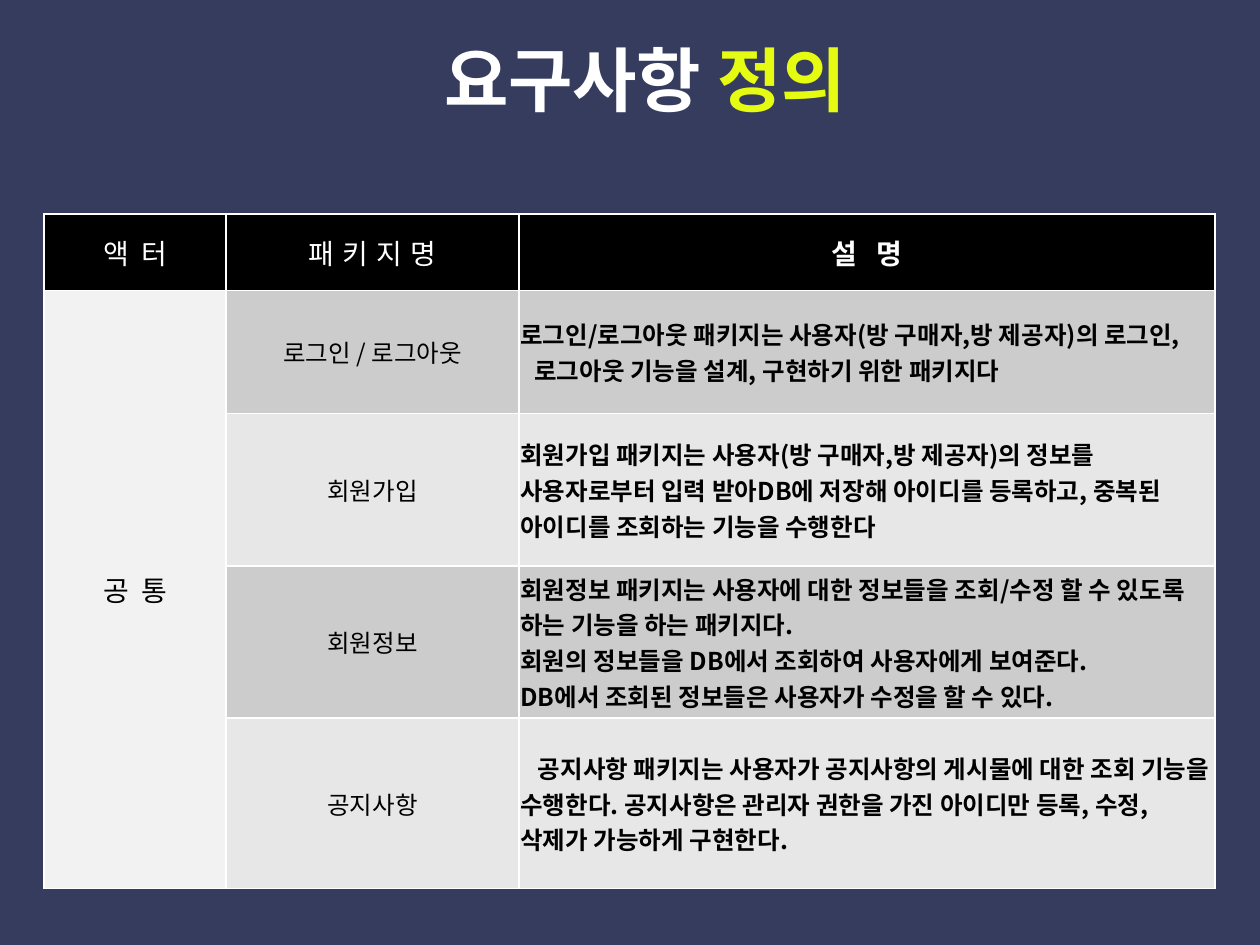
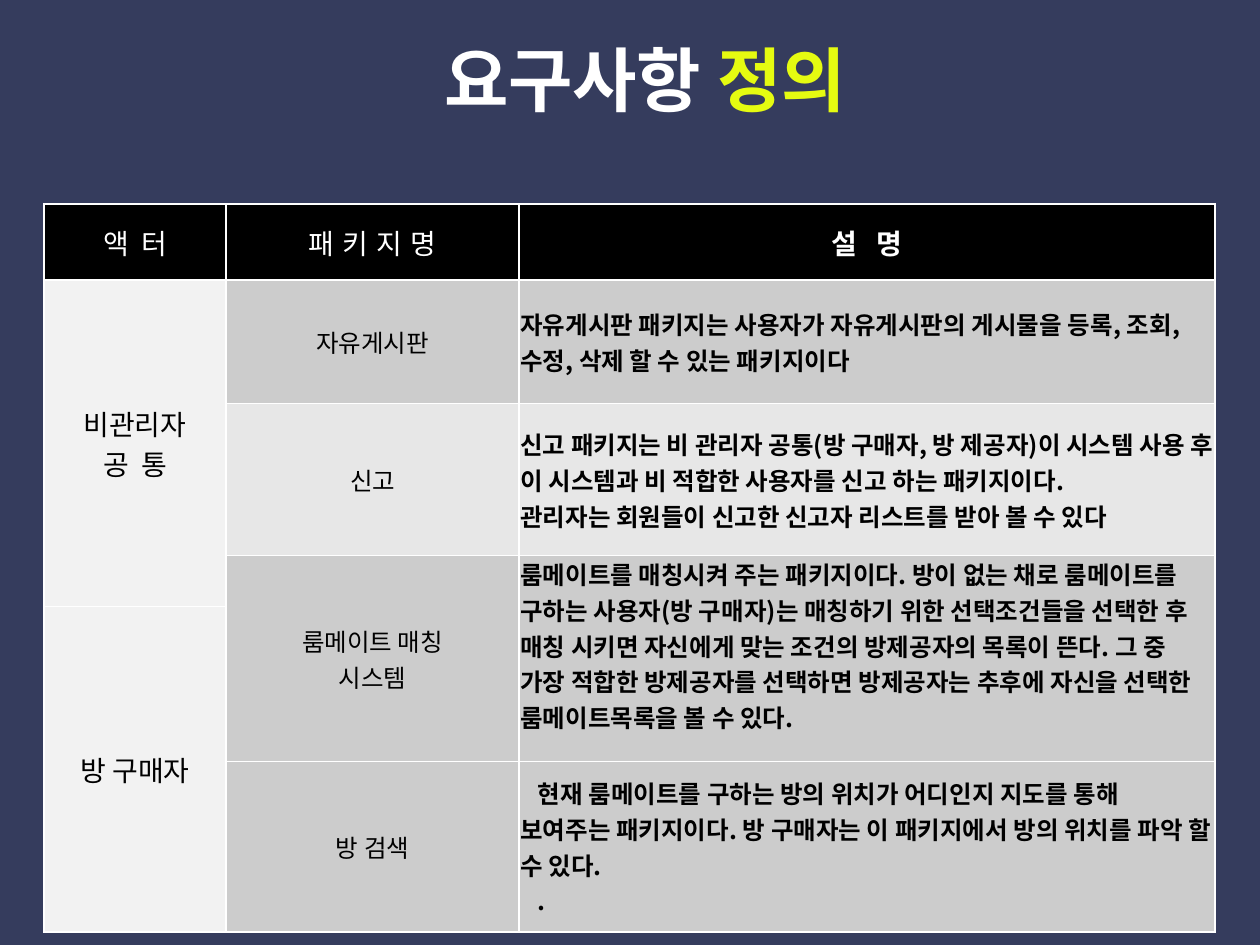
from lxml.etree import SubElement
from pptx import Presentation
from pptx.dml.color import RGBColor
from pptx.enum.text import MSO_ANCHOR, MSO_AUTO_SIZE, PP_ALIGN
from pptx.oxml.ns import qn
from pptx.util import Pt

NAVY = RGBColor(0x35, 0x3C, 0x5D)
WHITE = RGBColor(0xFF, 0xFF, 0xFF)
LIME = RGBColor(0xE5, 0xFB, 0x11)
BLACK = RGBColor(0, 0, 0)
PALE = RGBColor(0xF2, 0xF2, 0xF2)
GRAY = RGBColor(0xCC, 0xCC, 0xCC)
LIGHT = RGBColor(0xE7, 0xE7, 0xE7)
NOTO = "Noto Sans CJK KR"

WIDTHS = [104, 167.5, 397.5]
HEADS = ["액 터", "패 키 지 명", "설 명"]
# Letter spacing of the spread-out labels, in hundredths of a point
SPREAD = {"액 터": 180, "패 키 지 명": 60, "설 명": 360, "공 통": 180}

# Actors: first row, last row, lines
# Packages: first row, last row, fill, name lines, (indent, text) pairs
SHEETS = [
    {
        "title": "Arial", "head": "Lato", "top": 122.4,
        "rows": [43.5, 70.5, 87, 87, 97.5],
        "actors": [(1, 4, ["공 통"])],
        "packs": [
            (1, 1, GRAY, ["로그인 / 로그아웃"], [
                (0, "로그인/로그아웃 패키지는 사용자(방 구매자,방 제공자)의 로그인,"),
                (8, "로그아웃 기능을 설계, 구현하기 위한 패키지다")]),
            (2, 2, LIGHT, ["회원가입"], [
                (0, "회원가입 패키지는 사용자(방 구매자,방 제공자)의 정보를 "
                    "사용자로부터 입력 받아DB에 저장해 아이디를 등록하고, "
                    "중복된 아이디를 조회하는 기능을 수행한다")]),
            (3, 3, GRAY, ["회원정보"], [
                (0, "회원정보 패키지는 사용자에 대한 정보들을 조회/수정 할 수 있도록"),
                (0, "하는 기능을 하는 패키지다."),
                (0, "회원의 정보들을 DB에서 조회하여 사용자에게 보여준다."),
                (0, "DB에서 조회된 정보들은 사용자가 수정을 할 수 있다.")]),
            (4, 4, LIGHT, ["공지사항"], [
                (10, "공지사항 패키지는 사용자가 공지사항의 게시물에 대한 조회 "
                     "기능을 수행한다. 공지사항은 관리자 권한을 가진 아이디만 등록, "
                     "수정, 삭제가 가능하게 구현한다.")]),
        ],
    },
    {
        "title": NOTO, "head": NOTO, "top": 116.6,
        "rows": [43.5, 70.5, 87, 29, 88.5, 97.5],
        "actors": [(1, 3, ["비관리자", "공 통"]), (4, 5, ["방 구매자"])],
        "packs": [
            (1, 1, GRAY, ["자유게시판"], [
                (0, "자유게시판 패키지는 사용자가 자유게시판의 게시물을 등록, 조회, "
                    "수정, 삭제 할 수 있는 패키지이다")]),
            (2, 2, LIGHT, ["신고"], [
                (0, "신고 패키지는 비 관리자 공통(방 구매자, 방 제공자)이 시스템 "
                    "사용 후 이 시스템과 비 적합한 사용자를 신고 하는 패키지이다."),
                (0, "관리자는 회원들이 신고한 신고자 리스트를 받아 볼 수 있다")]),
            (3, 4, GRAY, ["룸메이트 매칭", "시스템"], [
                (0, "룸메이트를 매칭시켜 주는 패키지이다. 방이 없는 채로 룸메이트를 "
                    "구하는 사용자(방 구매자)는 매칭하기 위한 선택조건들을 선택한 "
                    "후 매칭 시키면 자신에게 맞는 조건의 방제공자의 목록이 뜬다. 그 "
                    "중 가장 적합한 방제공자를 선택하면 방제공자는 추후에 자신을 "
                    "선택한 룸메이트목록을 볼 수 있다.")]),
            (5, 5, GRAY, ["방 검색"], [
                (10, "현재 룸메이트를 구하는 방의 위치가 어디인지 지도를 통해 "
                     "보여주는 패키지이다. 방 구매자는 이 패키지에서 방의 위치를 파악 "
                     "할 수 있다."),
                (10, ".")]),
        ],
    },
]


def style(para, size, face, color, bold, align=PP_ALIGN.CENTER):
    para.alignment = align
    font = para.font
    font.size, font.bold, font.name = Pt(size), bold, face
    font.color.rgb = color
    props = para._p.pPr.find(qn("a:defRPr"))
    SubElement(props, qn("a:ea")).set("typeface", NOTO)
    if para.text in SPREAD:
        props.set("spc", str(SPREAD[para.text]))


def write(cell, lines, *look):
    cell.vertical_anchor = MSO_ANCHOR.MIDDLE
    frame = cell.text_frame
    frame.text = "\n".join(lines)
    for para in frame.paragraphs:
        style(para, *look)


deck = Presentation()
deck.slide_width, deck.slide_height = Pt(720), Pt(540)

for sheet in SHEETS:
    slide = deck.slides.add_slide(deck.slide_layouts[5])
    slide.background.fill.solid()
    slide.background.fill.fore_color.rgb = NAVY

    # Title in two colours
    title = slide.shapes.title
    title.left, title.top = Pt(188.6), Pt(17.3)
    title.width, title.height = Pt(360), Pt(55.4)
    frame = title.text_frame
    frame.auto_size = MSO_AUTO_SIZE.NONE
    frame.vertical_anchor = MSO_ANCHOR.MIDDLE
    para = frame.paragraphs[0]
    for text, color in [("요구사항 ", WHITE), ("정의", LIME)]:
        run = para.add_run()
        run.text = text
        run.font.color.rgb = color
    style(para, 40, sheet["title"], WHITE, True)

    # Table grid
    rows = sheet["rows"]
    table = slide.shapes.add_table(
        len(rows), len(WIDTHS), Pt(25.2), Pt(sheet["top"]),
        Pt(sum(WIDTHS)), Pt(sum(rows))).table
    table.horz_banding = False
    for col, width in zip(table.columns, WIDTHS):
        col.width = Pt(width)
    for row, height in zip(table.rows, rows):
        row.height = Pt(height)

    # Base fill and size, also for cells hidden by a merge
    for cell in table.iter_cells():
        cell.fill.solid()
        cell.fill.fore_color.rgb = PALE
        cell.text_frame.paragraphs[0].font.size = Pt(14)

    # Header row
    for col, head in enumerate(HEADS):
        cell = table.cell(0, col)
        cell.fill.fore_color.rgb = BLACK
        write(cell, [head], 16, sheet["head"], WHITE, col == 2)

    # Actors
    for first, last, lines in sheet["actors"]:
        cell = table.cell(first, 0)
        if last > first:
            cell.merge(table.cell(last, 0))
        write(cell, lines, 16, NOTO, BLACK, False)

    # Packages and what they do
    for first, last, fill, names, notes in sheet["packs"]:
        for col in (1, 2):
            for row in range(first, last + 1):
                table.cell(row, col).fill.fore_color.rgb = fill
            if last > first:
                table.cell(first, col).merge(table.cell(last, col))
        write(table.cell(first, 1), names, 14, NOTO, BLACK, False)

        cell = table.cell(first, 2)
        cell.margin_left = cell.margin_right = Pt(0.7)
        cell.margin_top = 0
        # The merged cell sets its text higher
        cell.margin_bottom = Pt(15 if last > first else 0)
        write(cell, [text for dent, text in notes],
              14, NOTO, BLACK, True, PP_ALIGN.LEFT)
        for para, (dent, text) in zip(cell.text_frame.paragraphs, notes):
            para._p.pPr.set("indent", str(Pt(dent)))

deck.save("out.pptx")
